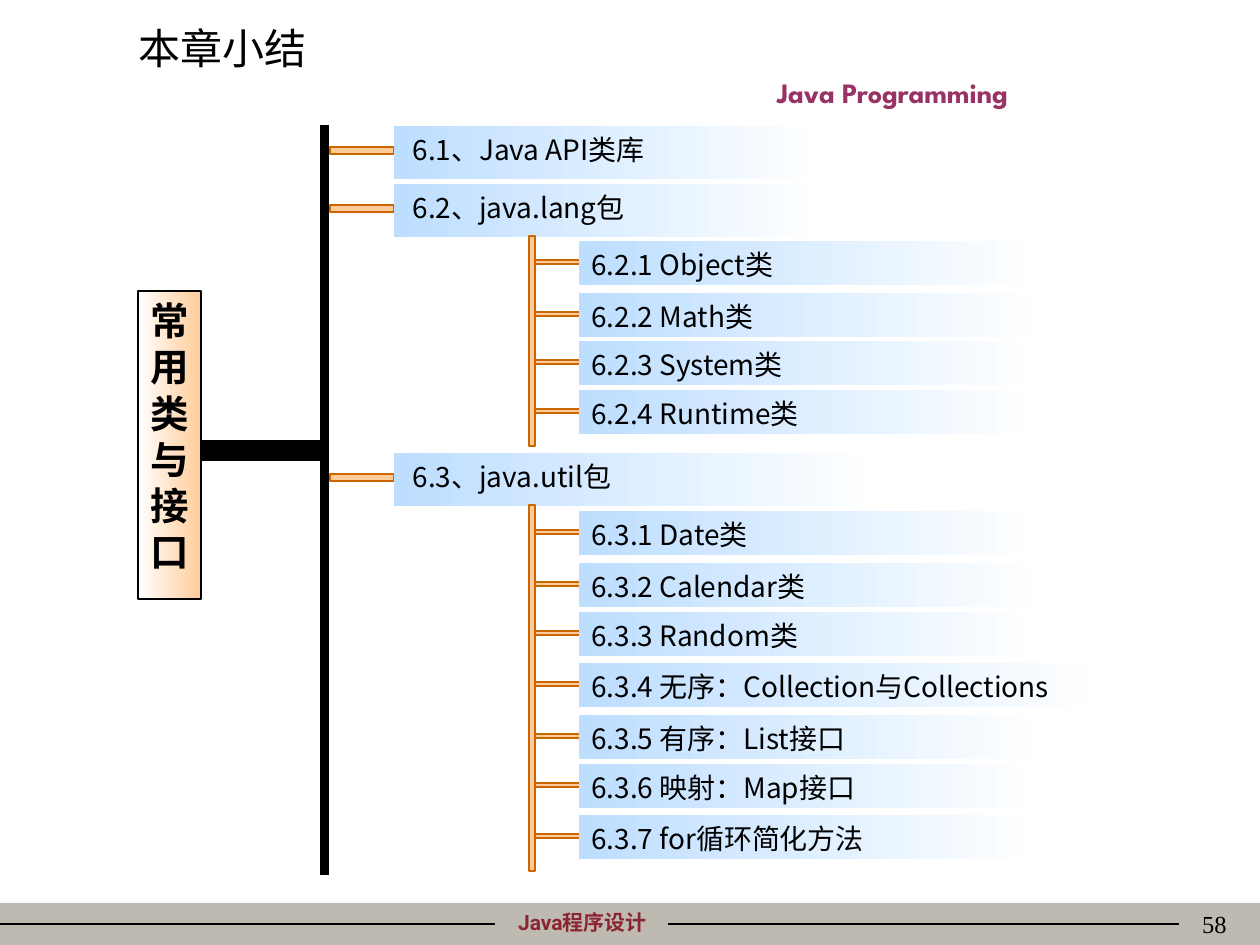
import pptx
import pptx.util
import pptx.dml.color
import pptx.enum.shapes
import pptx.enum.text
import lxml.etree

SCALE = 914400 // 126
CJK = "Noto Sans CJK SC"
PEACH, RUST, SKY, WHITE, BLACK = "FFCC99", "CC6600", "BDDEFF", "FFFFFF", "000000"
ALIGN = pptx.enum.text.PP_ALIGN

# title, top, width of each section; then bar top, bar height and its leaves
SECTIONS = [
    (" 6.1、Java API类库", 126, 430, None, []),
    (" 6.2、java.lang包", 184, 430, (236, 210), [
        ("6.2.1 Object类", 241, 460),
        ("6.2.2 Math类", 293, 465),
        ("6.2.3 System类", 341, 459),
        ("6.2.4 Runtime类", 390, 459),
    ]),
    (" 6.3、java.util包", 453, 483, (505, 366), [
        ("6.3.1 Date类", 511, 460),
        ("6.3.2 Calendar类", 563, 465),
        ("6.3.3 Random类", 612, 459),
        ("6.3.4 无序：Collection与Collections", 663, 523),
        ("6.3.5 有序：List接口", 715, 465),
        ("6.3.6 映射：Map接口", 764, 459),
        ("6.3.7 for循环简化方法", 815, 459),
    ]),
]


def px(*sizes):
    return [pptx.util.Emu(size * SCALE) for size in sizes]


def color(text):
    return pptx.dml.color.RGBColor.from_string(text)


class Sheet:
    """Holds the style and the slide being drawn."""

    def __init__(self, slide):
        self.slide = slide
        self.shapes = slide.shapes

    def letter(self, shape, text, size, font=CJK, tint=BLACK, bold=False, align=ALIGN.LEFT):
        """Put styled text into a shape."""
        frame = shape.text_frame
        frame.word_wrap = True
        frame.vertical_anchor = pptx.enum.text.MSO_ANCHOR.TOP
        frame.text = text
        para = frame.paragraphs[0]
        para.alignment = align
        for run in para.runs:
            run.font.name = font
            run.font.size = pptx.util.Pt(size)
            run.font.bold = bold
            run.font.color.rgb = color(tint)
            props = run.font._element
            east = lxml.etree.SubElement(props, pptx.oxml.ns.qn("a:ea"))
            east.set("typeface", CJK)

    def rect(self, box, fill, line=None):
        """Draw a rectangle; a pair of fills makes a left-to-right gradient."""
        kind = pptx.enum.shapes.MSO_SHAPE.RECTANGLE
        shape = self.shapes.add_shape(kind, *px(*box))
        shape.shadow.inherit = False
        if isinstance(fill, tuple):
            shape.fill.gradient()
            shape.fill.gradient_angle = 0
            for stop, tint in zip(shape.fill.gradient_stops, fill):
                stop.color.rgb = color(tint)
        else:
            shape.fill.solid()
            shape.fill.fore_color.rgb = color(fill)
        if line:
            shape.line.color.rgb = color(line)
            shape.line.width = pptx.util.Pt(0.75)
        else:
            shape.line.fill.background()
        return shape

    def label(self, box, text, size, **style):
        self.letter(self.shapes.add_textbox(*px(*box)), text, size, **style)

    def rule(self, left, right, top):
        kind = pptx.enum.shapes.MSO_CONNECTOR.STRAIGHT
        line = self.shapes.add_connector(kind, *px(left, top, right, top))
        line.line.color.rgb = color(BLACK)
        line.line.width = pptx.util.Pt(0.75)
        props = line._element.spPr
        lxml.etree.SubElement(props, pptx.oxml.ns.qn("a:effectLst"))

    def node(self, left, top, width, height, text, align):
        shape = self.rect((left, top, width, height), (SKY, WHITE))
        self.letter(shape, text, 16, align=align)

    def twig(self, *box):
        self.rect(box, PEACH, RUST)

    def footer(self):
        self.rect((0, 903, 1260, 42), "BFBAB1")
        self.label((456, 903, 253, 38), "Java程序设计", 12, font="Roboto",
                   tint="8C2532", bold=True, align=ALIGN.CENTER)
        self.rule(0, 495, 924)
        self.rule(668, 1179, 924)
        self.label((977, 903, 262, 63), "58", 14, font="Times New Roman",
                   align=ALIGN.RIGHT)

    def tree(self):
        root = self.rect((138, 291, 63, 308), (WHITE, PEACH), BLACK)
        self.letter(root, "常用类与接口", 22, bold=True, align=ALIGN.CENTER)
        self.rect((202, 440, 126, 21), BLACK)
        self.rect((320, 125, 9, 750), BLACK)
        for name, top, width, bar, leaves in SECTIONS:
            self.twig(330, top + 21, 64, 7)
            self.node(394, top, width, 53, name, ALIGN.JUSTIFY)
            for leaf, level, span in leaves:
                self.twig(532, level + 19, 64, 4)
                self.node(579, level, span, 44, leaf, ALIGN.LEFT)
            if bar:
                self.twig(529, bar[0], 6, bar[1])


def main():
    deck = pptx.Presentation()
    deck.slide_width, deck.slide_height = px(1260, 945)
    sheet = Sheet(deck.slides.add_slide(deck.slide_layouts[6]))
    sheet.footer()
    sheet.label((640, 69, 505, 47), "Java Programming", 16, font="League Spartan",
                tint="993366", bold=True, align=ALIGN.CENTER)
    sheet.label((126, 16, 359, 63), "本章小结", 24)
    sheet.tree()
    deck.save("out.pptx")


if __name__ == "__main__":
    main()
